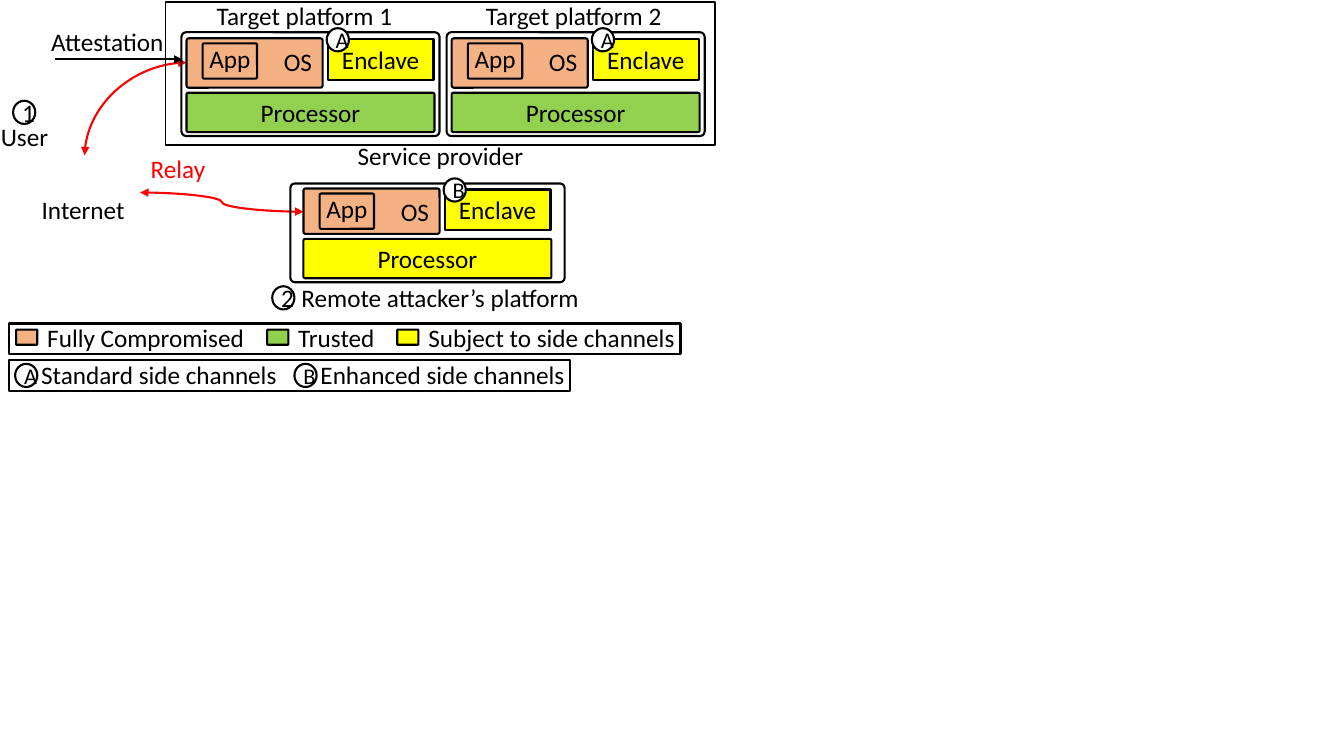
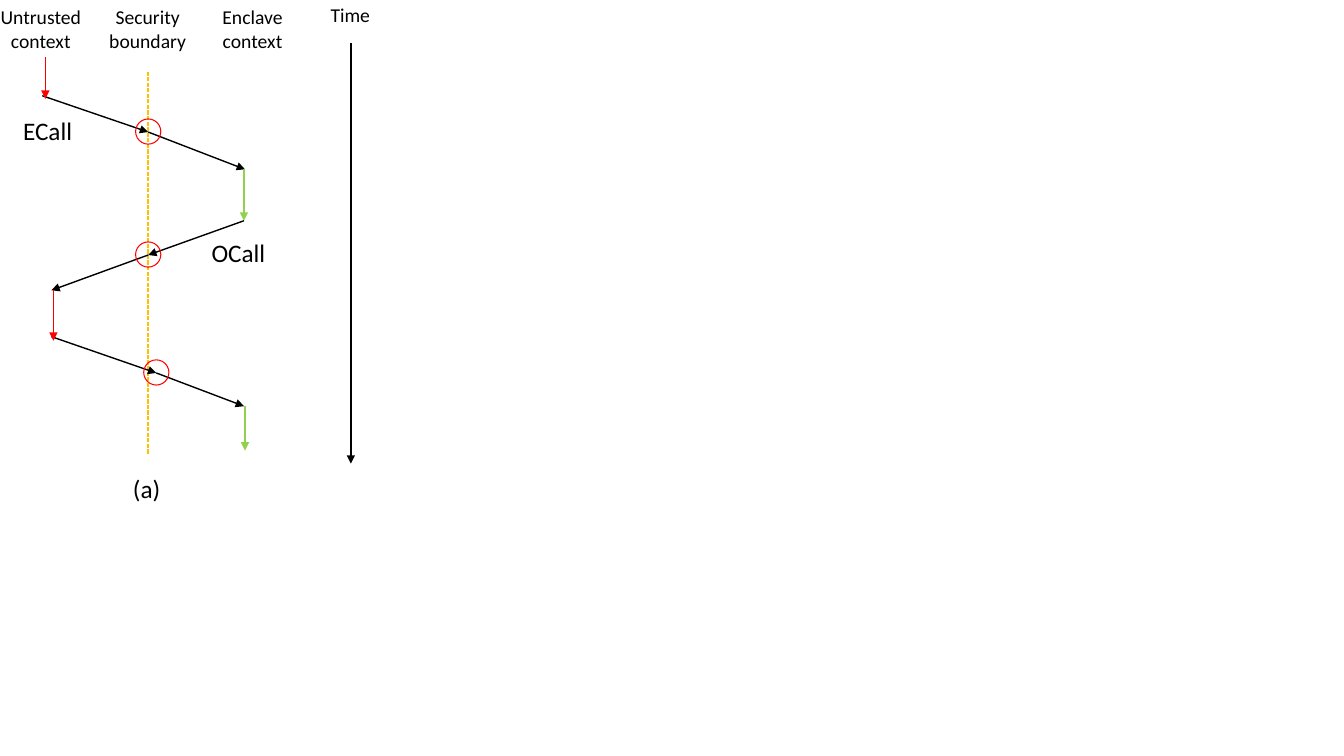
"""Draw the attestation relay attack and the enclave call sequence."""
from lxml import etree
from pptx import Presentation, util as u
from pptx.dml.color import RGBColor
from pptx.enum import dml, shapes, text
from pptx.oxml.ns import qn

BLACK = RGBColor(0, 0, 0)
WHITE = RGBColor(255, 255, 255)
RED = RGBColor(255, 0, 0)
ORANGE = RGBColor(0xF4, 0xB1, 0x83)
GREEN = RGBColor(0x92, 0xD0, 0x50)
YELLOW = RGBColor(255, 255, 0)
AMBER = RGBColor(255, 0xC0, 0)
RECT = shapes.MSO_SHAPE.RECTANGLE
ROUND = shapes.MSO_SHAPE.ROUNDED_RECTANGLE
OVAL = shapes.MSO_SHAPE.OVAL
CENTER, LEFT = text.PP_ALIGN.CENTER, text.PP_ALIGN.LEFT


class Deck:
    """Hold the style and the current slide, on a grid of 75 rows of square cells."""

    rows, font, size = 75, "Calibri", 18

    def __init__(self):
        self.prs = Presentation()
        self.prs.slide_width, self.prs.slide_height = u.Inches(13.33), u.Inches(7.5)
        self.cell = self.prs.slide_height / self.rows

    def new_slide(self):
        self.s = self.prs.slides.add_slide(self.prs.slide_layouts[6])

    def grid(self, *cells):
        return [u.Emu(round(c * self.cell)) for c in cells]

    def set_text(self, tf, words, size, color, align):
        tf.text = words
        for p in tf.paragraphs:
            p.alignment = align
            p.font.name, p.font.size = self.font, u.Pt(size)
            p.font.color.rgb = color

    def label(self, words, x, y, w, h=4, size=size, color=BLACK, align=CENTER, wrap=False):
        tf = self.s.shapes.add_textbox(*self.grid(x, y, w, h)).text_frame
        tf.word_wrap = wrap
        tf.auto_size = text.MSO_AUTO_SIZE.SHAPE_TO_FIT_TEXT
        self.set_text(tf, words, size, color, align)

    def box(self, kind, x, y, w, h, fill=None, words="", size=size, line=BLACK, weight=1.5):
        sp = self.s.shapes.add_shape(kind, *self.grid(x, y, w, h))
        sp.shadow.inherit = False
        if kind == ROUND:
            sp.adjustments[0] = 0.045
        if fill is None:
            sp.fill.background()
        else:
            sp.fill.solid()
            sp.fill.fore_color.rgb = fill
        sp.line.color.rgb, sp.line.width = line, u.Pt(weight)
        if words:
            self.set_text(sp.text_frame, words, size, BLACK, CENTER)

    def badge(self, mark, x, y, size=16):
        self.box(OVAL, x, y, 2.2, 2.3, WHITE, mark, size)

    def line(self, start, end, color=BLACK, weight=1.0, ends=("tailEnd",), curve=None, dash=None):
        kind = shapes.MSO_CONNECTOR.CURVE if curve else shapes.MSO_CONNECTOR.STRAIGHT
        c = self.s.shapes.add_connector(kind, *self.grid(*start, *end))
        c.line.color.rgb, c.line.width = color, u.Pt(weight)
        if dash:
            c.line.dash_style = dash
        spPr = c.element.spPr
        if curve:
            spPr.find(qn("a:prstGeom")).set("prst", curve)
        for tag in ends:
            etree.SubElement(spPr.find(qn("a:ln")), qn("a:" + tag), type="triangle")
        etree.SubElement(spPr, qn("a:effectLst"))

    def platform(self, x, y, frame, os_h, processor, mark):
        dx, dy, w, h = frame
        self.box(ROUND, x + dx, y + dy, w, h)
        self.box(RECT, x + 14, y + 0.1, 10.5, 4, YELLOW, "Enclave")
        self.box(ROUND, x, y, 13.5, os_h, ORANGE)
        self.label("OS", x + 7.8, y + 0.3, 6.5, wrap=True)
        self.box(ROUND, x, y + os_h + 0.5, 24.6, 3.9, processor, "Processor")
        self.badge(mark, x + 13.9, y - 1)
        self.box(ROUND, x + 1.6, y + 0.5, 5.4, 3.5, ORANGE)
        self.label("App", x + 0.7, y, 7.2, wrap=True)


def relay_slide(d):
    d.new_slide()
    both = ("headEnd", "tailEnd")
    d.line((13.9, 19.1), (30.1, 21), RED, 1.5, both, "curvedConnector3")
    d.line((18.5, 6.2), (8.4, 15.4), RED, 1.5, both, "curvedConnector2")
    d.box(RECT, 0.9, 32.1, 66.6, 3)
    for words, x, w, fill in (("Fully Compromised", 1.6, 21.8, ORANGE),
                              ("Trusted", 26.5, 9.7, GREEN),
                              ("Subject to side channels", 39.4, 26.7, YELLOW)):
        d.box(ROUND, x, 32.7, 2.1, 1.5, fill)
        d.label(words, x + 2.1, 31.5, w, align=LEFT)
    d.box(RECT, 0.9, 35.7, 55.6, 3.1)
    for mark, words, x, w in (("A", "Standard side channels", 1.5, 25.7),
                              ("B", "Enhanced side channels", 29.2, 26.5)):
        d.badge(mark, x, 36.1)
        d.label(words, x + 1.6, 35.2, w, align=LEFT)

    d.box(RECT, 16.4, 0.2, 54.5, 14.2, weight=1)
    d.label("Service provider", 34.2, 13.4, 19)
    for n, x, title_x in ((1, 18.5, 20.2), (2, 44.8, 46.9)):
        d.platform(x, 3.8, (-0.5, -0.6, 25.6, 10.3), 4.9, GREEN, "A")
        d.label(f"Target platform {n}", title_x, -0.5, 20)
    d.platform(30.1, 18.7, (-1.3, -0.5, 27.2, 9.8), 4.5, YELLOW, "B")
    d.label("Remote attacker’s platform", 27, 27.5, 33.3, wrap=True)
    d.badge("2", 27, 28.4, d.size)
    d.badge("1", 1.3, 10, d.size)
    d.label("User", -0.9, 11.5, 6.8, align=LEFT)
    d.label("Internet", 2.4, 18.8, 11.7, wrap=True)
    d.label("Relay", 13.9, 14.7, 7.5, color=RED)
    d.label("Attestation", 4, 2.1, 13.3)
    d.line((5.5, 5.9), (18.1, 5.9), weight=1.5)


def calls_slide(d):
    d.new_slide()
    d.line((34.8, 4.3), (34.8, 46), weight=1.5)
    d.label("Time", 31.8, -0.2, 6, 3.4, 14, align=LEFT)
    d.line((14.7, 7.1), (14.7, 45), AMBER, ends=(), dash=dml.MSO_LINE.SQUARE_DOT)
    for words, x in (("Untrusted\ncontext", -2.4), ("Security\nboundary", 8.2),
                     ("Enclave\ncontext", 18.6)):
        d.label(words, x, 0, 12.9, 5.7, 14, wrap=True)
    for start, crossing, end in (((4.2, 9.5), (14.7, 13.1), (24.3, 16.8)),
                                 ((24.2, 21.9), (14.7, 25.3), (5.1, 28.8)),
                                 ((5.1, 33.4), (15.5, 37), (24.2, 40.3))):
        d.line(start, crossing)
        d.line(crossing, end)
        x, y = crossing
        d.box(OVAL, x - 1.25, y - 1.3, 2.5, 2.5, line=RED, weight=0.75)
    for x, top, bottom, color in ((4.5, 5.7, 9.8, RED), (24.2, 16.8, 21.9, GREEN),
                                  (5.3, 28.8, 33.8, RED), (24.3, 40.3, 44.7, GREEN)):
        d.line((x, top), (x, bottom), color)
    for words, x, y, w in (("ECall", 1.3, 10.9, 6.9), ("OCall", 20, 23.1, 7.4),
                           ("(a)", 12.2, 46.5, 4.8)):
        d.label(words, x, y, w, align=LEFT)


def main():
    d = Deck()
    relay_slide(d)
    calls_slide(d)
    d.prs.save("out.pptx")


if __name__ == "__main__":
    main()
